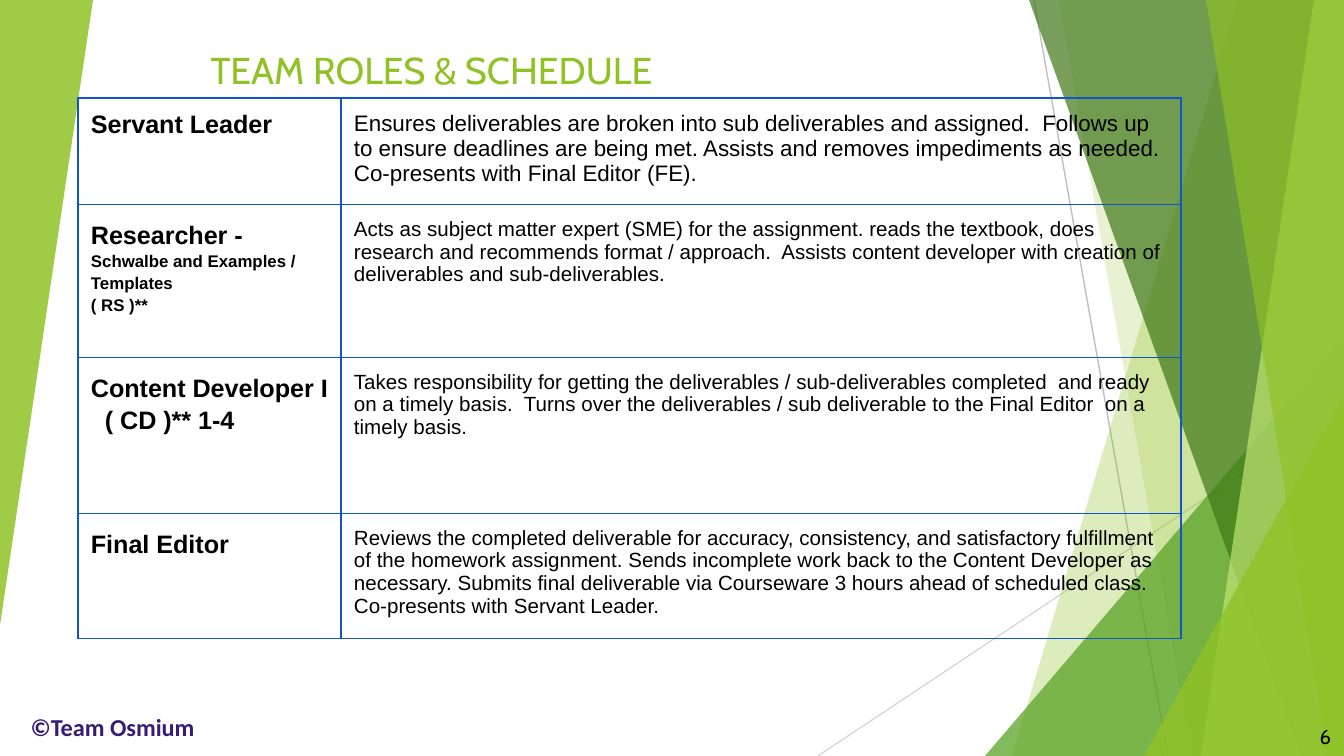
"""Build the team roles and schedule slide."""
from typing import NamedTuple

import lxml.etree
import pptx
import pptx.dml.color
import pptx.enum.shapes
import pptx.enum.text
import pptx.oxml
import pptx.oxml.ns
import pptx.util

EMU_PER_PX = 914400 / 134.4
WIDTH, HEIGHT = 1344, 756
GREEN, BLACK = "90C226", "000000"
ALIGN = pptx.enum.text.PP_ALIGN
ANCHOR = pptx.enum.text.MSO_ANCHOR


class Ray(NamedTuple):
    start: tuple[int, int]
    end: tuple[int, int]
    color: str


class Band(NamedTuple):
    top_x: int
    bottom_x: int
    color: str
    opacity: int


class Corner(NamedTuple):
    left: int
    top: int
    width: int
    height: int
    color: str
    opacity: int
    rotation: int = 0


class Run(NamedTuple):
    text: str
    size: float
    bold: bool = False
    name: str = "Arial"
    color: str = BLACK


class Label(NamedTuple):
    box: tuple[int, int, int, int]
    runs: list[Run]
    align: ALIGN
    anchor: ANCHOR
    margin_y: int = 13


class Role(NamedTuple):
    height: int
    title: list[Run]
    duty: Run
    spacing: float = 1.15


RAYS = [
    Ray((1034, 0), (1168, HEIGHT), "BFBFBF"),
    Ray((WIDTH, 406), (818, HEIGHT), "D8D8D8"),
]
FACETS = [
    Band(1238, 1012, GREEN, 30),
    Band(1059, 1192, GREEN, 20),
    Corner(985, 336, 359, 420, "54A021", 72),
    Band(1029, 1301, "3F7818", 70),
    Band(1314, 1201, "BFE471", 70),
    Band(1206, 1328, GREEN, 65),
    Corner(1144, 395, 200, 361, GREEN, 80),
    Corner(0, 0, 93, 625, GREEN, 85, 180),
]
LABELS = [
    Label((185, -67, 890, 176),
          [Run(" ", 30, False, "Cabin", GREEN), Run("TEAM ROLES & SCHEDULE", 20, False, "Cabin", GREEN)],
          ALIGN.LEFT, ANCHOR.BOTTOM),
    Label((-108, 699, 441, 56), [Run("©Team Osmium", 13, True, "Calibri", "351C75")],
          ALIGN.CENTER, ANCHOR.TOP),
    Label((1269, 716, 75, 40), [Run("6", 10.8, False, "Cabin")], ALIGN.RIGHT, ANCHOR.MIDDLE, 7),
]
COLUMNS = [263, 840]
ROLES = [
    Role(102, [Run("Servant Leader", 13.5, True)],
         Run("Ensures deliverables are broken into sub deliverables and assigned.  Follows up to ensure "
             "deadlines are being met. Assists and removes impediments as needed. "
             "Co-presents with Final Editor (FE).", 12), 1.0),
    Role(153, [Run("Researcher -", 13.5, True), Run("Schwalbe and Examples / Templates", 9, True),
               Run("( RS )**", 9, True)],
         Run("Acts as subject matter expert (SME) for the assignment. reads the textbook, does research and "
             "recommends format / approach.  Assists content developer with creation of deliverables and "
             "sub-deliverables.", 11)),
    Role(156, [Run("Content Developer I   ( CD )** 1-4", 13.5, True)],
         Run("Takes responsibility for getting the deliverables / sub-deliverables completed  and ready on a "
             "timely basis.  Turns over the deliverables / sub deliverable to the Final Editor  on a timely "
             "basis.", 11)),
    Role(118, [Run("Final Editor", 13.5, True)],
         Run("Reviews the completed deliverable for accuracy, consistency, and satisfactory fulfillment of the "
             "homework assignment. Sends incomplete work back to the Content Developer as necessary. Submits "
             "final deliverable via Courseware 3 hours ahead of scheduled class.  Co-presents with Servant "
             "Leader.", 11)),
]


def px(length: int) -> int:
    """Turn pixels into EMU."""
    return round(length * EMU_PER_PX)


def rgb(color: str) -> pptx.dml.color.RGBColor:
    """Turn a hex string into a colour."""
    return pptx.dml.color.RGBColor.from_string(color)


def apply_format(target, values: dict) -> None:
    """Set each attribute of the target from the values."""
    for name, value in values.items():
        setattr(target, name, value)


def margins(horizontal: int, vertical: int) -> dict:
    """Return the four margins as format values."""
    return {"margin_left": px(horizontal), "margin_right": px(horizontal),
            "margin_top": px(vertical), "margin_bottom": px(vertical)}


def add_run(paragraph, run: Run) -> None:
    """Add one formatted run to a paragraph."""
    text_run = paragraph.add_run()
    text_run.text = run.text
    apply_format(text_run.font, {"name": run.name, "size": pptx.util.Pt(run.size), "bold": run.bold})
    text_run.font.color.rgb = rgb(run.color)


def draw_ray(slide, ray: Ray) -> None:
    """Draw a thin line without a shadow."""
    connector = slide.shapes.add_connector(
        pptx.enum.shapes.MSO_CONNECTOR.STRAIGHT, *map(px, ray.start + ray.end))
    connector.line.color.rgb = rgb(ray.color)
    connector.line.width = pptx.util.Pt(0.75)
    lxml.etree.SubElement(connector._element.spPr, pptx.oxml.ns.qn("a:effectLst"))


def draw_facet(slide, facet: Band | Corner) -> None:
    """Draw a translucent band or corner triangle."""
    if isinstance(facet, Band):
        builder = slide.shapes.build_freeform(facet.top_x, 0, scale=EMU_PER_PX)
        builder.add_line_segments([(WIDTH, 0), (WIDTH, HEIGHT), (facet.bottom_x, HEIGHT)], close=True)
        shape = builder.convert_to_shape()
    else:
        shape = slide.shapes.add_shape(
            pptx.enum.shapes.MSO_SHAPE.ISOSCELES_TRIANGLE, *map(px, facet[:4]))
        shape.adjustments[0] = 1
        shape.rotation = facet.rotation
    shape.shadow.inherit = False
    shape.line.fill.background()
    shape.fill.solid()
    shape.fill.fore_color.rgb = rgb(facet.color)
    color = shape._element.spPr.find(".//" + pptx.oxml.ns.qn("a:srgbClr"))
    lxml.etree.SubElement(color, pptx.oxml.ns.qn("a:alpha"), val=str(facet.opacity * 1000))


def draw_label(slide, label: Label) -> None:
    """Draw a text box of one paragraph."""
    frame = slide.shapes.add_textbox(*map(px, label.box)).text_frame
    apply_format(frame, {"word_wrap": True, "vertical_anchor": label.anchor, **margins(13, label.margin_y)})
    paragraph = frame.paragraphs[0]
    paragraph.alignment = label.align
    for run in label.runs:
        add_run(paragraph, run)


def fill_cell(cell, runs: list[Run], spacing: float) -> None:
    """Write one paragraph per run and outline the cell."""
    apply_format(cell, margins(13, 13))
    cell.fill.background()
    for index, run in enumerate(runs):
        paragraph = cell.text_frame.add_paragraph() if index else cell.text_frame.paragraphs[0]
        paragraph.line_spacing = spacing
        add_run(paragraph, run)
    for index, side in enumerate(("lnL", "lnR", "lnT", "lnB")):
        border = pptx.oxml.parse_xml(
            f'<a:{side} {pptx.oxml.ns.nsdecls("a")} w="9525"><a:solidFill>'
            f'<a:srgbClr val="1155CC"/></a:solidFill></a:{side}>')
        cell._tc.get_or_add_tcPr().insert(index, border)


def draw_roles(slide) -> None:
    """Draw the table of roles and duties."""
    height = sum(role.height for role in ROLES)
    table = slide.shapes.add_table(
        len(ROLES), len(COLUMNS), *map(px, (78, 98, sum(COLUMNS), height))).table
    apply_format(table, {"first_row": False, "horz_banding": False})
    for column, width in zip(table.columns, COLUMNS):
        column.width = px(width)
    for row, role in zip(table.rows, ROLES):
        row.height = px(role.height)
        fill_cell(row.cells[0], role.title, role.spacing)
        fill_cell(row.cells[1], [role.duty], 1.0)


def main() -> None:
    """Build and save the presentation."""
    presentation = pptx.Presentation()
    apply_format(presentation, {"slide_width": px(WIDTH), "slide_height": px(HEIGHT)})
    slide = presentation.slides.add_slide(presentation.slide_layouts[6])
    for ray in RAYS:
        draw_ray(slide, ray)
    for facet in FACETS:
        draw_facet(slide, facet)
    draw_label(slide, LABELS[0])
    draw_roles(slide)
    for label in LABELS[1:]:
        draw_label(slide, label)
    presentation.save("out.pptx")


if __name__ == "__main__":
    main()
